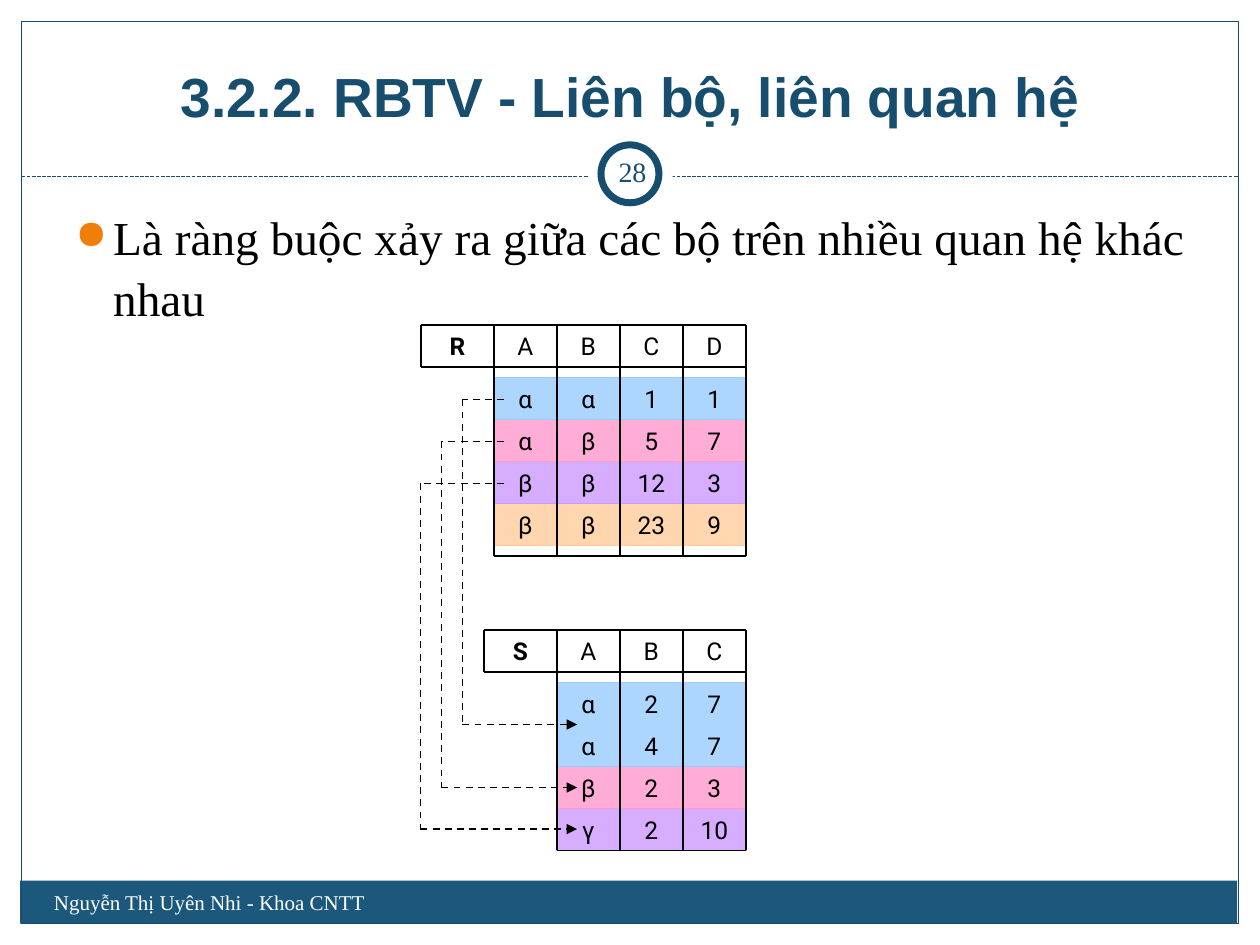
"""Build a slide on integrity constraints that span tuples of two relations."""
from lxml import etree
from pptx import Presentation
from pptx.dml.color import RGBColor
from pptx.enum.dml import MSO_LINE
from pptx.enum.shapes import MSO_CONNECTOR, MSO_SHAPE
from pptx.enum.text import MSO_ANCHOR, PP_ALIGN
from pptx.oxml.ns import qn
from pptx.util import Inches, Pt

RECT, OVAL = MSO_SHAPE.RECTANGLE, MSO_SHAPE.OVAL
STRAIGHT = MSO_CONNECTOR.STRAIGHT
DASH, DOTS = MSO_LINE.DASH, MSO_LINE.SQUARE_DOT
TOP, MIDDLE, BOTTOM = MSO_ANCHOR.TOP, MSO_ANCHOR.MIDDLE, MSO_ANCHOR.BOTTOM
LEFT, CENTER, JUSTIFY = PP_ALIGN.LEFT, PP_ALIGN.CENTER, PP_ALIGN.JUSTIFY

NAVY, BAR, ORANGE = "184E6D", "1B587C", "F07F09"
BLACK, WHITE = "000000", "FFFFFF"
BLUE, PINK, VIOLET, PEACH = "99CCFF", "FF99CC", "CC99FF", "FFCC99"
SANS, SERIF, CELL = "Arial", "Times New Roman", "Roboto"

COL, ROW, HEAD = 0.5, 1 / 3, 0.58
GAP = 0.25 * ROW
RIGHT = 5.92


def color(code):
    return RGBColor.from_string(code)


def add(parent, tag, **attrs):
    return etree.SubElement(parent, qn(tag), attrs)


class Deck:
    def __init__(self):
        self.show = Presentation()
        self.show.slide_width, self.show.slide_height = Inches(10), Inches(7.5)
        self.slide = self.show.slides.add_slide(self.show.slide_layouts[6])
        self.shapes = self.slide.shapes

    def shape(self, kind, x, y, w, h, fill=None, line=None, width=1, alpha=None):
        item = self.shapes.add_shape(kind, Inches(x), Inches(y), Inches(w), Inches(h))
        item.shadow.inherit = False
        if fill:
            item.fill.solid()
            item.fill.fore_color.rgb = color(fill)
            if alpha:
                tint = item._element.spPr.find(qn("a:solidFill"))[0]
                add(tint, "a:alpha", val=str(alpha * 1000))
        else:
            item.fill.background()
        if line:
            item.line.color.rgb = color(line)
            item.line.width = Pt(width)
        else:
            item.line.fill.background()

    def line(self, x1, y1, x2, y2, code=BLACK, width=1, dash=None, arrow=False):
        item = self.shapes.add_connector(
            STRAIGHT, Inches(x1), Inches(y1), Inches(x2), Inches(y2))
        item.line.color.rgb = color(code)
        item.line.width = Pt(width)
        if dash:
            item.line.dash_style = dash
        if arrow:
            add(item.line._get_or_add_ln(), "a:tailEnd", type="triangle")
        add(item._element.spPr, "a:effectLst")

    def text(self, words, x, y, w, h, size, font, code=BLACK, bold=False,
             align=LEFT, anchor=TOP, bullet=False):
        box = self.shapes.add_textbox(Inches(x), Inches(y), Inches(w), Inches(h))
        frame = box.text_frame
        frame.word_wrap = True
        frame.vertical_anchor = anchor
        frame.text = words
        para = frame.paragraphs[0]
        para.alignment = align
        if bullet:
            para.line_spacing = 1.06
            props = para._p.get_or_add_pPr()
            props.set("marL", str(Inches(0.3)))
            props.set("indent", str(Inches(-0.3)))
            add(add(props, "a:buClr"), "a:srgbClr", val=ORANGE)
            add(props, "a:buSzPct", val="85000")
            add(props, "a:buChar", char="●")
        style = para.runs[0].font
        style.size, style.name, style.bold = Pt(size), font, bold
        style.color.rgb = color(code)

    def cell(self, words, x, y, w=COL, bold=False):
        self.text(words, x, y, w, ROW, 14, CELL, bold=bold, align=CENTER, anchor=MIDDLE)

    def grid(self, name, top, heads, rows, bands, foot=0):
        left = RIGHT - COL * len(heads)
        edge, base, body = left - HEAD, top + ROW, top + ROW + GAP
        end = body + ROW * len(rows) + foot
        for code, first, count in bands:
            self.shape(RECT, left, body + ROW * first, RIGHT - left, ROW * count,
                       code, code, alpha=80)
        self.cell(name, edge, top, HEAD, True)
        levels = [top] + [body + ROW * i for i in range(len(rows))]
        for y, row in zip(levels, [heads, *rows]):
            for i, words in enumerate(row):
                self.cell(words, left + COL * i, y)
        for x, y in ((edge, top), (edge, base), (left, end)):
            self.line(x, y, RIGHT, y)
        self.line(edge, top, edge, base)
        for i in range(len(heads) + 1):
            self.line(left + COL * i, top, left + COL * i, end)

    def link(self, x, start, end):
        self.line(4, start, x, start, dash=DASH)
        self.line(x, start, x, end, dash=DASH)
        self.line(x, end, 4.58, end, dash=DASH, arrow=True)

    def save(self):
        self.show.save("out.pptx")


def main():
    deck = Deck()
    deck.shape(RECT, 0.16, 6.99, 9.66, 0.34, BAR)
    deck.shape(RECT, 0.17, 0.17, 9.66, 7.16, line=NAVY, width=0.75)
    deck.line(0.17, 1.4, 9.83, 1.4, NAVY, 0.75, DOTS)
    deck.shape(OVAL, 4.67, 1.05, 0.67, 0.67, WHITE)
    deck.shape(OVAL, 4.77, 1.15, 0.46, 0.46, WHITE, NAVY, 4)
    deck.text("3.2.2. RBTV - Liên bộ, liên quan hệ", 0.5, 0.39, 9, 0.68,
              31.5, SANS, NAVY, True, CENTER, BOTTOM)
    deck.text("Là ràng buộc xảy ra giữa các bộ trên nhiều quan hệ khác nhau",
              0.5, 1.58, 9, 5.42, 27, SERIF, align=JUSTIFY, bullet=True)

    deck.grid("R", 2.58, "ABCD",
              [("α", "α", "1", "1"), ("α", "β", "5", "7"),
               ("β", "β", "12", "3"), ("β", "β", "23", "9")],
              [(PEACH, 3, 1), (VIOLET, 2, 1), (PINK, 1, 1), (BLUE, 0, 1)], GAP)
    deck.grid("S", 5, "ABC",
              [("α", "2", "7"), ("α", "4", "7"), ("β", "2", "3"), ("γ", "2", "10")],
              [(VIOLET, 3, 1), (PINK, 2, 1), (BLUE, 0, 2)])
    for i, end in enumerate((5.75, 6.25, 6.58)):
        deck.link(3.67 - ROW / 2 * i, 3.17 + ROW * i, end)

    deck.text("Nguyễn Thị Uyên Nhi - Khoa CNTT", 0.33, 7.01, 3.92, 0.4,
              12, SERIF, WHITE)
    deck.text("28", 4.77, 1.12, 0.5, 0.48, 16, SERIF, NAVY,
              align=CENTER, anchor=MIDDLE)
    deck.save()


if __name__ == "__main__":
    main()
